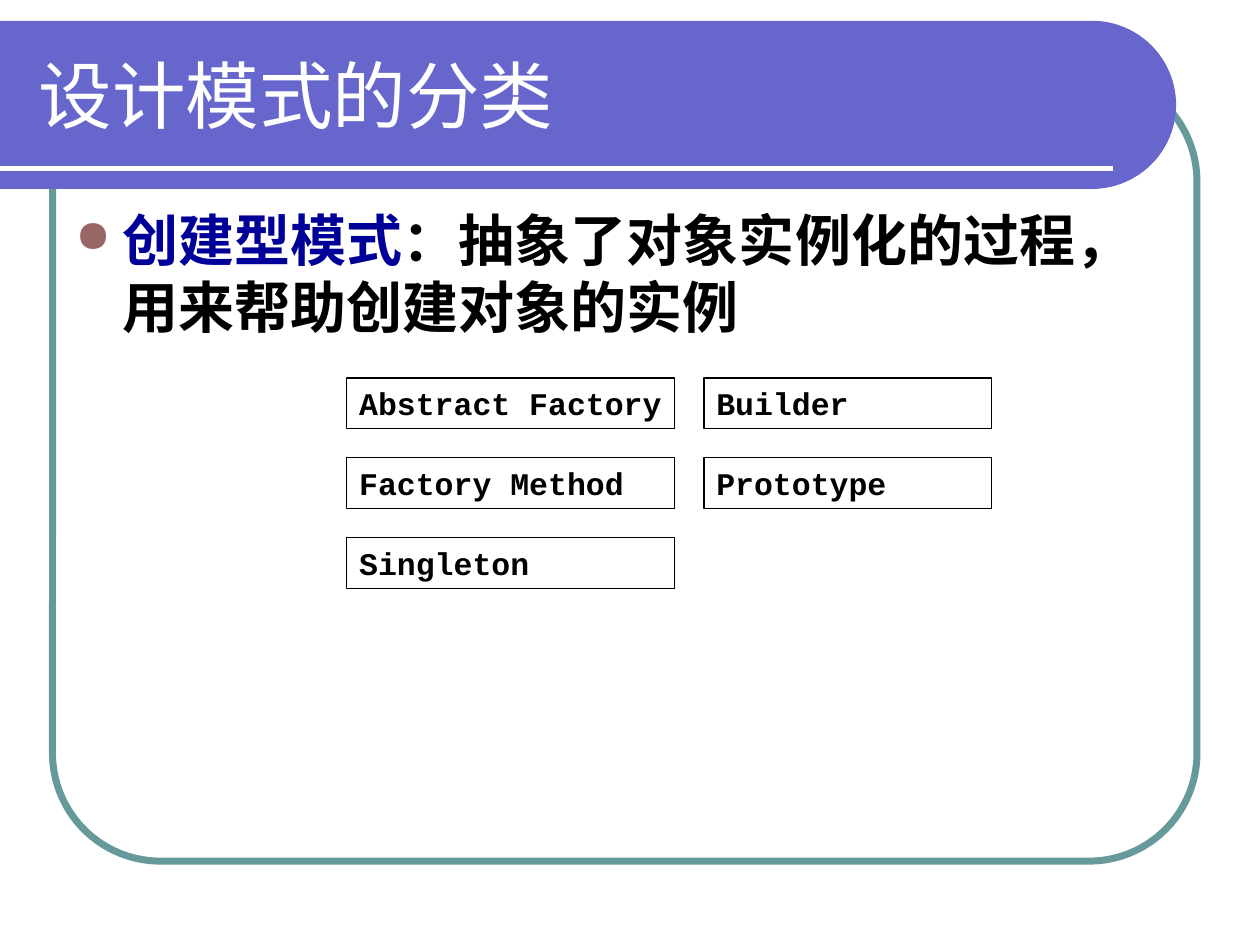
from math import cos, pi, sin

from lxml import etree
from pptx import Presentation
from pptx.dml.color import RGBColor
from pptx.enum.shapes import MSO_CONNECTOR, MSO_SHAPE
from pptx.enum.text import MSO_ANCHOR, MSO_AUTO_SIZE, PP_ALIGN
from pptx.oxml.ns import qn
from pptx.util import Cm, Pt

WHITE = RGBColor(0xFF, 0xFF, 0xFF)
BLACK = RGBColor(0, 0, 0)
TEAL = RGBColor(0x66, 0x99, 0x99)
VIOLET = RGBColor(0x66, 0x66, 0xCC)
NAVY = RGBColor(0, 0, 0x99)
ROSE = RGBColor(0x99, 0x66, 0x66)
RECT = MSO_SHAPE.RECTANGLE
ROUND = MSO_SHAPE.ROUNDED_RECTANGLE
LINE = MSO_CONNECTOR.STRAIGHT
MIDDLE = MSO_ANCHOR.MIDDLE
TOP = MSO_ANCHOR.TOP
GROW = MSO_AUTO_SIZE.SHAPE_TO_FIT_TEXT
LEFT = PP_ALIGN.LEFT
NAMES = [["Abstract Factory", "Builder"], ["Factory Method", "Prototype"], ["Singleton"]]


def set_font(font, name, size, bold=False):
    """Set the face, size and weight of a font."""
    font.name, font.size, font.bold = name, Pt(size), bold


def add_frame(slide, x, y, w, h):
    """Draw the rounded outline behind the content."""
    frame = slide.shapes.add_shape(ROUND, Cm(x), Cm(y), Cm(w), Cm(h))
    frame.adjustments[0] = 0.137
    frame.shadow.inherit = False
    frame.fill.background()
    frame.line.color.rgb = TEAL
    frame.line.width = Pt(4)


def add_banner(slide, x, y, w, h, title):
    """Draw the round-ended banner with its rule and title."""
    rad = h / 2
    turns = [pi * (step / 48 - 0.5) for step in range(49)]
    arc = [(Cm(x + w - rad + rad * cos(turn)), Cm(y + rad + rad * sin(turn))) for turn in turns]
    form = slide.shapes.build_freeform(Cm(x), Cm(y))
    form.add_line_segments(arc + [(Cm(x), Cm(y + h))], close=True)
    band = form.convert_to_shape()
    band.shadow.inherit = False
    band.fill.solid()
    band.fill.fore_color.rgb = VIOLET
    band.line.fill.background()

    level = Cm(y + h - 0.42)
    rule = slide.shapes.add_connector(LINE, Cm(x), level, Cm(x + w - 1.27), level)
    rule.line.color.rgb = WHITE
    rule.line.width = Pt(3)
    etree.SubElement(rule.line._get_or_add_ln().getparent(), qn("a:effectLst"))

    box = slide.shapes.add_textbox(Cm(x + 0.53), Cm(y + 0.21), Cm(w - 1.43), Cm(2.54))
    frame = box.text_frame
    frame.word_wrap = True
    frame.vertical_anchor = MIDDLE
    para = frame.paragraphs[0]
    para.text = title
    set_font(para.font, "Arial", 42)
    para.font.color.rgb = WHITE


def add_body(slide, x, y, w, h, term, text):
    """Write the bulleted definition with its term in colour."""
    frame = slide.shapes.add_textbox(Cm(x), Cm(y), Cm(w), Cm(h)).text_frame
    frame.word_wrap = True
    para = frame.paragraphs[0]
    props = para._p.get_or_add_pPr()
    props.set("marL", str(Cm(0.95)))
    props.set("indent", str(Cm(-0.95)))
    tint = etree.SubElement(props, qn("a:buClr"))
    etree.SubElement(tint, qn("a:srgbClr"), val=str(ROSE))
    etree.SubElement(props, qn("a:buSzPct"), val="80000")
    etree.SubElement(props, qn("a:buChar"), char="●")
    set_font(para.font, "Arial", 32, True)
    for words, color in ((term, NAVY), (text, BLACK)):
        run = para.add_run()
        run.text = words
        run.font.color.rgb = color


def add_grid(slide, x, y, wide, high, gap, rows):
    """Lay out the pattern names in rows of outlined boxes."""
    for row, names in enumerate(rows):
        left = x
        for name, width in zip(names, wide):
            top = y + row * (high + gap)
            box = slide.shapes.add_shape(RECT, Cm(left), Cm(top), Cm(width), Cm(high))
            box.shadow.inherit = False
            box.fill.solid()
            box.fill.fore_color.rgb = WHITE
            box.line.color.rgb = BLACK
            box.line.width = Pt(0.75)
            frame = box.text_frame
            frame.word_wrap = width != wide[0]
            frame.auto_size = GROW
            frame.vertical_anchor = TOP
            para = frame.paragraphs[0]
            para.text = name
            para.alignment = LEFT
            set_font(para.font, "Courier New", 18, True)
            para.font.color.rgb = BLACK
            left += width + gap


def main():
    """Build the slide and save it."""
    deck = Presentation()
    deck.slide_width, deck.slide_height = Cm(25.4), Cm(19.05)
    slide = deck.slides.add_slide(deck.slide_layouts[6])
    add_frame(slide, 1.06, 1.48, 23.07, 15.88)
    add_banner(slide, 0, 0.42, 23.71, 3.39, "设计模式的分类")
    add_body(slide, 1.27, 4.02, 22.43, 13.34, "创建型模式", "：抽象了对象实例化的过程，用来帮助创建对象的实例")
    add_grid(slide, 6.99, 7.62, (6.61, 5.8), 1.02, 0.59, NAMES)
    deck.save("out.pptx")


if __name__ == "__main__":
    main()
